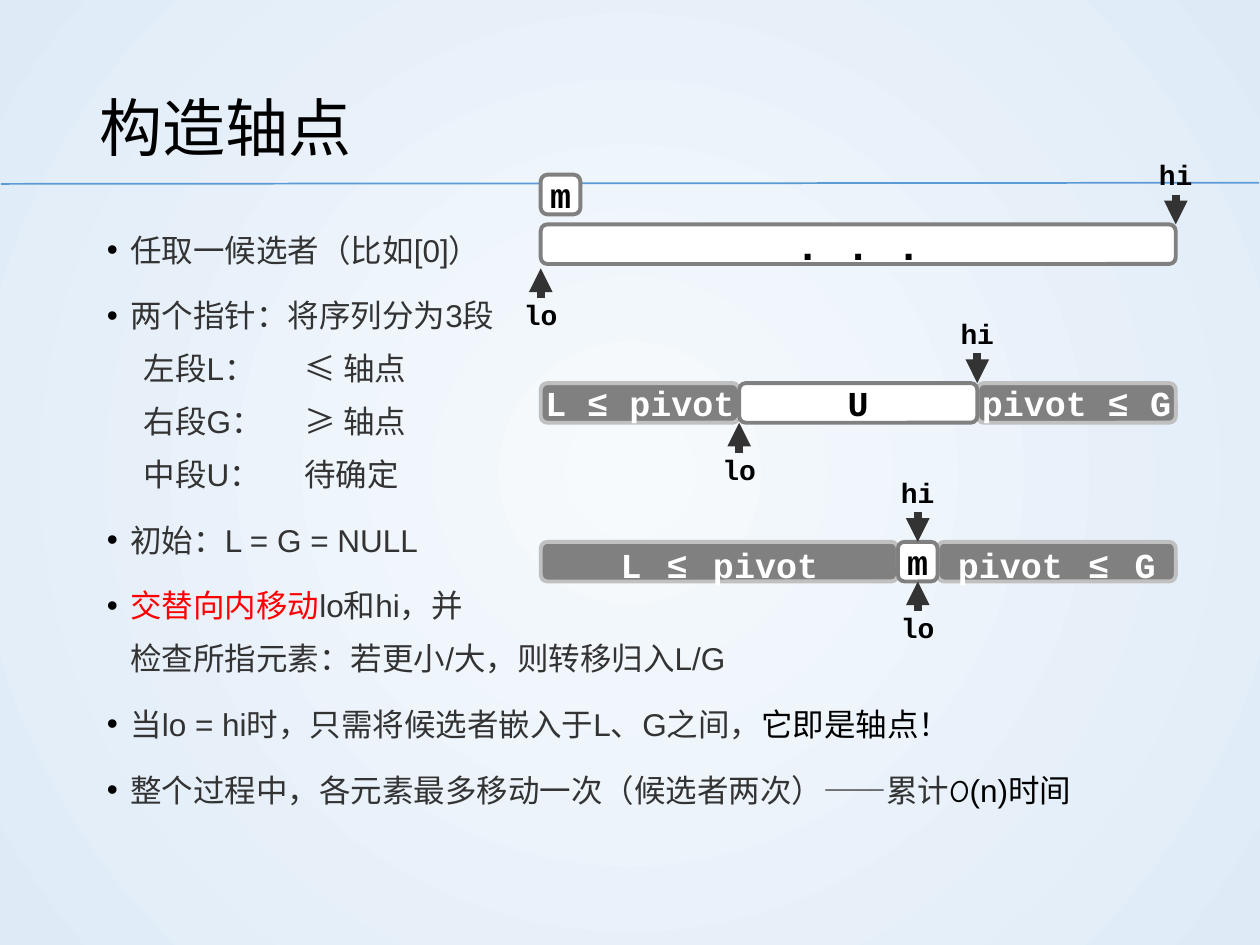
from lxml import etree
from pptx import Presentation
from pptx.dml.color import RGBColor
from pptx.enum import shapes, text
from pptx.oxml import ns
from pptx.util import Pt

COLORS = {
    "center": "F7FAFD", "edge": "DEEBF7", "rule": "5B9BD5", "black": "000000",
    "body": "333333", "red": "FF0000", "white": "FFFFFF", "gray": "808080",
    "silver": "C0C0C0",
}
SANS, MONO, CJK = "Arial", "Courier New", "Noto Sans CJK SC"
CELL = 22.68
LEFT, TOP = 309, 128.2
ROW_PITCH = 4 * CELL


def add_span(para, words, font, size, color, bold=False):
    span = para.add_run()
    span.text = words
    span.font.name = font
    span.font.size = Pt(size)
    span.font.bold = bold
    span.font.color.rgb = RGBColor.from_string(COLORS[color])
    etree.SubElement(span.font._element, ns.qn("a:ea"), typeface=CJK)


def add_line(x1, y1, x2, y2, color, width, end=None):
    """Draw a line; end is None, headEnd (arrow at start) or tailEnd."""
    line = page.shapes.add_connector(
        shapes.MSO_CONNECTOR.STRAIGHT, Pt(x1), Pt(y1), Pt(x2), Pt(y2))
    line.line.color.rgb = RGBColor.from_string(COLORS[color])
    line.line.width = Pt(width)
    if end:
        etree.SubElement(line.line._get_or_add_ln(), ns.qn(f"a:{end}"), type="triangle")
    etree.SubElement(line._element.spPr, ns.qn("a:effectLst"))


deck = Presentation()
deck.slide_width, deck.slide_height = Pt(720), Pt(540)
page = deck.slides.add_slide(deck.slide_layouts[1])

# Radial background
fill = page.background.fill
fill.gradient()
for stop, name, position in zip(fill.gradient_stops, ("center", "edge"), (0, 1)):
    stop.color.rgb = RGBColor.from_string(COLORS[name])
    stop.position = position
linear = next(page._element.iter(ns.qn("a:lin")))
radial = etree.Element(ns.qn("a:path"), path="circle")
etree.SubElement(radial, ns.qn("a:fillToRect"), l="50000", t="50000", r="50000", b="50000")
linear.getparent().replace(linear, radial)

add_line(0.5, 105.1, 719.5, 104.4, "rule", 1)

# Title
title = page.shapes.title
title.left, title.top, title.width, title.height = Pt(49.5), Pt(29), Pt(621), Pt(78)
title.text_frame.auto_size = text.MSO_AUTO_SIZE.NONE
title.text_frame.vertical_anchor = text.MSO_ANCHOR.MIDDLE
para = title.text_frame.paragraphs[0]
para.alignment = text.PP_ALIGN.LEFT
para.line_spacing = 1.2
add_span(para, "构造轴点", SANS, 36, "black")

# Bullet list: each item is a list of (text, colour, font) spans
ITEMS = [
    [("任取一候选者（比如[0]）", "body", SANS)],
    [("两个指针：将序列分为3段\n\t左段L：\t≤ 轴点\n\t右段G：\t≥ 轴点\n\t中段U：\t待确定",
      "body", SANS)],
    [("初始：L = G = NULL", "body", SANS)],
    [("交替向内移动", "red", SANS),
     ("lo和hi，并\n检查所指元素：若更小/大，则转移归入L/G", "body", SANS)],
    [("当lo = hi时，只需将候选者嵌入于L、G之间，", "body", SANS),
     ("它即是轴点！", "black", SANS)],
    [("整个过程中，各元素最多移动一次（候选者两次）", "body", SANS),
     ("——", "body", CJK), ("累计", "body", SANS),
     ("O", "black", "Comic Neue"), ("(n)时间", "black", SANS)],
]
TABS = (21, 56, 84, 113, 134, 155.5, 176.5, 197.5)

body = page.placeholders[1]
body.left, body.top, body.width, body.height = Pt(49.5), Pt(117.5), Pt(621), Pt(369)
frame = body.text_frame
frame.auto_size = text.MSO_AUTO_SIZE.NONE
frame.word_wrap = True
frame.vertical_anchor = text.MSO_ANCHOR.TOP
frame.margin_left, frame.margin_top = Pt(11.5), Pt(5.75)
frame.margin_right, frame.margin_bottom = Pt(0), Pt(5.75)

for index, item in enumerate(ITEMS):
    para = frame.add_paragraph() if index else frame.paragraphs[0]
    para.line_spacing = 1.4
    para.space_before = Pt(5.5 if index else 0)
    para.space_after = Pt(1.8)
    props = para._p.get_or_add_pPr()
    props.set("marL", str(Pt(13.5)))
    props.set("indent", str(Pt(-13.5)))
    bullet_color = etree.SubElement(props, ns.qn("a:buClr"))
    etree.SubElement(bullet_color, ns.qn("a:srgbClr"), val=COLORS["black"])
    etree.SubElement(props, ns.qn("a:buFont"), typeface=SANS)
    etree.SubElement(props, ns.qn("a:buChar"), char="•")
    tabs = etree.SubElement(props, ns.qn("a:tabLst"))
    for tab in TABS:
        etree.SubElement(tabs, ns.qn("a:tab"), pos=str(Pt(tab)), algn="l")
    for words, color, font in item:
        for number, line in enumerate(words.split("\n")):
            if number:
                para.add_line_break()
            add_span(para, line, font, 18, color)

# Sequence boxes: row, first cell, cell count, dark, (text, size, bold) spans
SPACE = (" ", 24, False)
L, G, M, LE, PIVOT = [(word, 20, True) for word in ("L", "G", "m", "≤", "pivot")]
BOXES = [
    (-1.25 / 4, 0, 1, False, [M]),
    (0, 0, 16, False, [(". . .", 24, True)]),
    (1, 0, 5, True, [("L ≤ pivot", 20, True)]),
    (1, 11, 5, True, [("pivot ≤ G", 20, True)]),
    (1, 5, 6, False, [("U", 20, True)]),
    (2, 10, 6, True, [PIVOT, SPACE, LE, SPACE, G]),
    (2, 0, 9, True, [L, SPACE, LE, SPACE, PIVOT]),
    (2, 9, 1, False, [M]),
]
# Pointers: name, row, cell, gap to the bar
POINTERS = [
    ("lo", 0, 0, 2.5), ("hi", 0, 16, 0),
    ("lo", 1, 5, 0), ("hi", 1, 11, 0),
    ("lo", 2, 9.5, 0), ("hi", 2, 9.5, 0),
]
ARROW = 0.75 * CELL

labels = []
for row, cell, count, dark, spans in BOXES:
    box = page.shapes.add_shape(
        shapes.MSO_SHAPE.ROUNDED_RECTANGLE, Pt(LEFT + cell * CELL),
        Pt(TOP + row * ROW_PITCH), Pt(count * CELL), Pt(CELL))
    box.shadow.inherit = False
    box.fill.solid()
    box.fill.fore_color.rgb = RGBColor.from_string(COLORS["gray" if dark else "white"])
    box.line.color.rgb = RGBColor.from_string(COLORS["silver" if dark else "gray"])
    box.line.width = Pt(2.25)
    labels.append((box, spans, "white" if dark else "black"))

for name, row, cell, gap in POINTERS:
    x = LEFT + cell * CELL
    bar_top = TOP + row * ROW_PITCH
    if name == "lo":
        start, end = bar_top + CELL + gap, "headEnd"
        label_top = start + 15
    else:
        start, end = bar_top - gap - ARROW, "tailEnd"
        label_top = start - CELL
    add_line(x, start, x, start + ARROW, "body", 4.5, end)
    box = page.shapes.add_textbox(Pt(x - CELL / 2), Pt(label_top), Pt(CELL), Pt(CELL))
    labels.append((box, [(name, 16, True)], "black"))

for box, spans, color in labels:
    frame = box.text_frame
    frame.word_wrap = False
    frame.vertical_anchor = text.MSO_ANCHOR.MIDDLE
    frame.margin_left = frame.margin_right = frame.margin_top = frame.margin_bottom = Pt(0)
    para = frame.paragraphs[0]
    para.alignment = text.PP_ALIGN.CENTER
    for words, size, bold in spans:
        add_span(para, words, MONO, size, color, bold)

deck.save("out.pptx")
